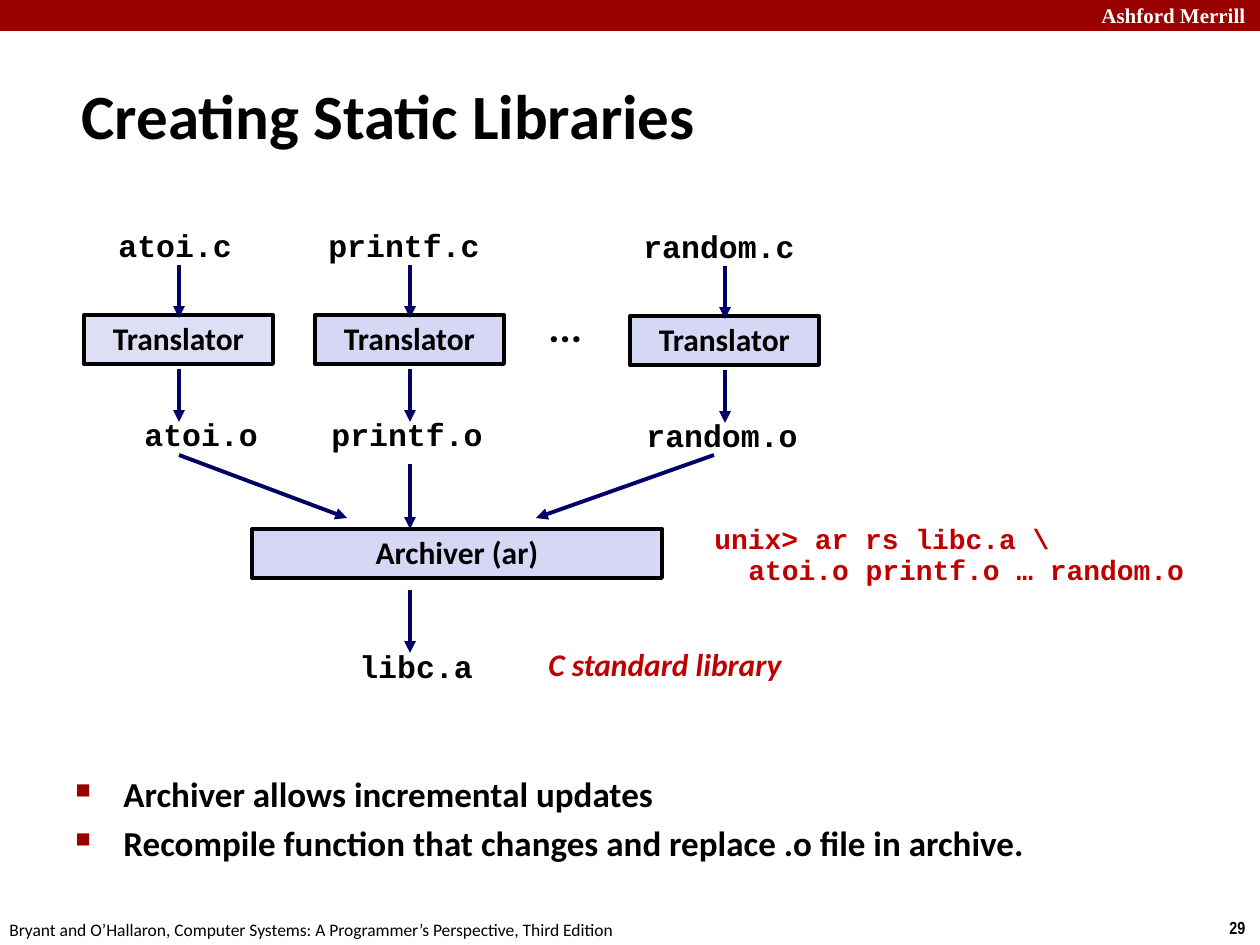
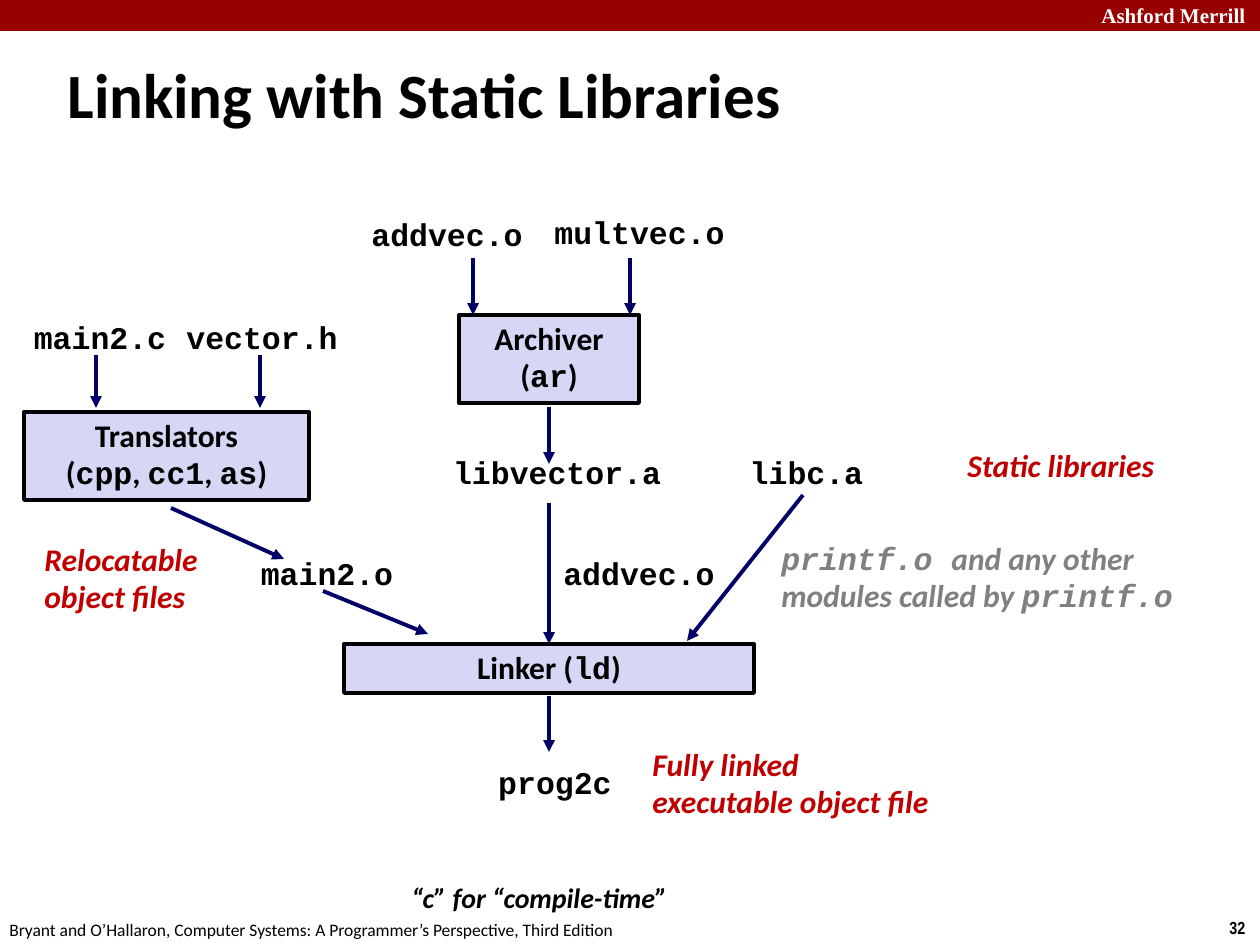
import dataclasses

import lxml.etree
import pptx
import pptx.dml.color
import pptx.enum.shapes
import pptx.enum.text
import pptx.oxml.ns
import pptx.util

SCALE = 914400 / 126  # EMU in one px
CENTER = pptx.enum.text.PP_ALIGN.CENTER
LEFT = pptx.enum.text.PP_ALIGN.LEFT
qn = pptx.oxml.ns.qn


@dataclasses.dataclass(frozen=True)
class Theme:
    black: str = "000000"
    white: str = "FFFFFF"
    band: str = "990000"
    note: str = "C00000"
    muted: str = "808080"
    arrow: str = "000066"
    tool: str = "D6D6F5"
    tool_pale: str = "DEDFF5"
    sans: str = "Calibri"
    mono: str = "Courier New"
    serif: str = "Times New Roman"
    narrow: str = "Arial Narrow"
    title: int = 36
    dots: int = 24
    bullet: int = 20
    body: int = 18
    small: int = 16
    brand: int = 12
    footer: int = 10
    stroke: float = 2.25


theme = Theme()


def write(slide, text, left, top, width, height, *, size=theme.body, font=theme.sans,
          color=theme.black, bold=True, italic=False, align=LEFT, middle=False,
          wrap=False, grow=True, leading=None, fill=None, border=True):
    """Add text, one paragraph a line, with `backticked` parts in the mono font.

    A fill turns the text box into a rectangle.
    """
    place = [round(length * SCALE) for length in (left, top, width, height)]
    if fill:
        box = slide.shapes.add_shape(pptx.enum.shapes.MSO_SHAPE.RECTANGLE, *place)
        box.shadow.inherit = False
        box.fill.solid()
        box.fill.fore_color.rgb = pptx.dml.color.RGBColor.from_string(fill)
        if border:
            box.line.color.rgb = pptx.dml.color.RGBColor.from_string(theme.black)
            box.line.width = pptx.util.Pt(theme.stroke)
        else:
            box.line.fill.background()
    else:
        box = slide.shapes.add_textbox(*place)

    frame = box.text_frame
    frame.word_wrap = wrap
    anchors = pptx.enum.text.MSO_ANCHOR
    frame.vertical_anchor = anchors.MIDDLE if middle else anchors.TOP
    sizing = pptx.enum.text.MSO_AUTO_SIZE
    frame.auto_size = sizing.SHAPE_TO_FIT_TEXT if grow else sizing.NONE

    for number, line in enumerate(text.split("\n")):
        para = frame.add_paragraph() if number else frame.paragraphs[0]
        para.alignment = align
        para.line_spacing = leading or (0.94 if line.startswith("`") else 0.98)
        for index, part in enumerate(line.split("`")):
            if part:
                span = para.add_run()
                span.text = part
                span.font.name = theme.mono if index % 2 else font
                span.font.size = pptx.util.Pt(size)
                span.font.bold = bold
                span.font.italic = italic
                span.font.color.rgb = pptx.dml.color.RGBColor.from_string(color)
    return box


def draw_arrow(slide, *ends):
    """Draw an arrow given start x, start y, tip x and tip y."""
    arrow = slide.shapes.add_connector(
        pptx.enum.shapes.MSO_CONNECTOR.STRAIGHT, *[round(end * SCALE) for end in ends])
    arrow.line.color.rgb = pptx.dml.color.RGBColor.from_string(theme.arrow)
    arrow.line.width = pptx.util.Pt(theme.stroke)
    lxml.etree.SubElement(arrow.line._get_or_add_ln(), qn("a:tailEnd"), type="triangle")
    lxml.etree.SubElement(arrow._element.spPr, qn("a:effectLst"))


deck = pptx.Presentation()
deck.slide_width = round(1260 * SCALE)
deck.slide_height = round(945 * SCALE)

# Band, brand, footer and title of every slide
pages = []
for number, title, left, top, width in (
    ("29", "Creating Static Libraries", 69, 60, 1191),
    ("32", "Linking with Static Libraries", 55, 39, 774),
):
    page = deck.slides.add_slide(deck.slide_layouts[6])
    write(page, "", 0, 0, 1260, 31, fill=theme.band, border=False, grow=False)
    write(page, "Ashford Merrill", 1089, -4, 180, 38, size=theme.brand,
          font=theme.serif, color=theme.white, wrap=True, leading=1.0)
    write(page, number, 1217, 911, 43, 34, size=theme.footer, font=theme.narrow, leading=1.0)
    write(page, "Bryant and O’Hallaron, Computer Systems: A Programmer’s Perspective, "
          "Third Edition", -3, 913, 640, 34, size=theme.footer, bold=False, leading=1.0)
    write(page, title, left, top, width, 108, size=theme.title, middle=True,
          wrap=True, grow=False, leading=1.0)
    pages.append(page)
creating, linking = pages

# Creating: one translator column for each source file
for name, center, source_left, object_left, width, drop, fill in (
    ("atoi", 179, 106, 132, 139, 0, theme.tool_pale),
    ("printf", 410, 316, 319, 176, 0, theme.tool),
    ("random", 725, 631, 634, 176, 1, theme.tool),
):
    write(creating, f"`{name}.c`", source_left, 223 + drop, width, 49)
    write(creating, "Translator", center - 95, 315 + drop, 189, 49,
          align=CENTER, wrap=True, fill=fill)
    write(creating, f"`{name}.o`", object_left, 412 + drop, width, 49)
    for start in (265, 369):
        draw_arrow(creating, center, start + drop, center, start + drop + 53)
write(creating, "...", 536, 297, 60, 63, size=theme.dots)

# Creating: the archiver and its result
write(creating, "Archiver (ar)", 252, 529, 410, 49, align=CENTER, wrap=True, fill=theme.tool)
write(creating, "`libc.a`", 347, 644, 139, 49)
for ends in ((179, 455, 347, 518), (410, 464, 410, 529),
             (714, 455, 536, 518), (410, 590, 410, 653)):
    draw_arrow(creating, *ends)
write(creating, "C standard library", 536, 641, 410, 50,
      color=theme.note, italic=True, wrap=True)
command = write(creating, "`unix> ar rs libc.a \\`\n`atoi.o printf.o … random.o`",
                702, 518, 501, 77, size=theme.small, color=theme.note)
continuation = command.text_frame.paragraphs[1]._p.get_or_add_pPr()
continuation.set("marL", str(round(34 * SCALE)))

# Creating: bullets
remarks = write(creating, "Archiver allows incremental updates\n"
                "Recompile function that changes and replace .o file in archive.",
                63, 766, 1145, 147, size=theme.bullet, wrap=True, grow=False, leading=1.0)
for para in remarks.text_frame.paragraphs:
    para.space_before = pptx.util.Pt(4)
    properties = para._p.get_or_add_pPr()
    properties.set("marL", str(round(48 * SCALE)))
    properties.set("indent", str(round(-48 * SCALE)))
    bullet_color = lxml.etree.SubElement(properties, qn("a:buClr"))
    lxml.etree.SubElement(bullet_color, qn("a:srgbClr"), val=theme.band)
    lxml.etree.SubElement(properties, qn("a:buSzPct"), val="60000")
    lxml.etree.SubElement(properties, qn("a:buChar"), char="■")

# Linking: tools
for text, left, top, width, height in (
    ("Translators\n(`cpp`, `cc1`, `as`)", 24, 412, 285, 88),
    ("Archiver\n(`ar`)", 459, 315, 180, 88),
    ("Linker (`ld`)", 344, 644, 410, 49),
):
    write(linking, text, left, top, width, height, align=CENTER, wrap=True, fill=theme.tool)

# Linking: files
for name, left, top, width in (
    ("addvec.o", 359, 212, 176),
    ("multvec.o", 541, 210, 197),
    ("main2.c", 21, 315, 158),
    ("vector.h", 174, 315, 176),
    ("libvector.a", 440, 450, 234),
    ("libc.a", 737, 450, 139),
    ("main2.o", 248, 551, 158),
    ("addvec.o", 551, 551, 176),
    ("prog2c", 485, 760, 140),
):
    write(linking, f"`{name}`", left, top, width, 49, align=CENTER)

# Linking: arrows, from the sources down to the program
for ends in (
    (473, 258, 473, 315), (630, 258, 630, 315),
    (96, 355, 96, 408), (260, 355, 260, 408),
    (549, 407, 549, 464), (171, 508, 284, 559),
    (323, 591, 428, 634), (549, 503, 549, 644),
    (803, 495, 687, 641), (549, 696, 549, 752),
):
    draw_arrow(linking, *ends)

# Linking: notes
for text, left, top, width, height, color in (
    ("Static libraries", 955, 442, 214, 50, theme.note),
    ("Relocatable\nobject files", 32, 536, 180, 88, theme.note),
    ("`printf.o `and any other\nmodules called by `printf.o`", 769, 536, 438, 87, theme.muted),
    ("Fully linked\nexecutable object file", 640, 741, 305, 88, theme.note),
):
    write(linking, text, left, top, width, height, color=color, italic=True)
write(linking, "“c” for “compile-time”", 399, 874, 300, 47,
      size=theme.small, italic=True, leading=1.0)

deck.save("out.pptx")
